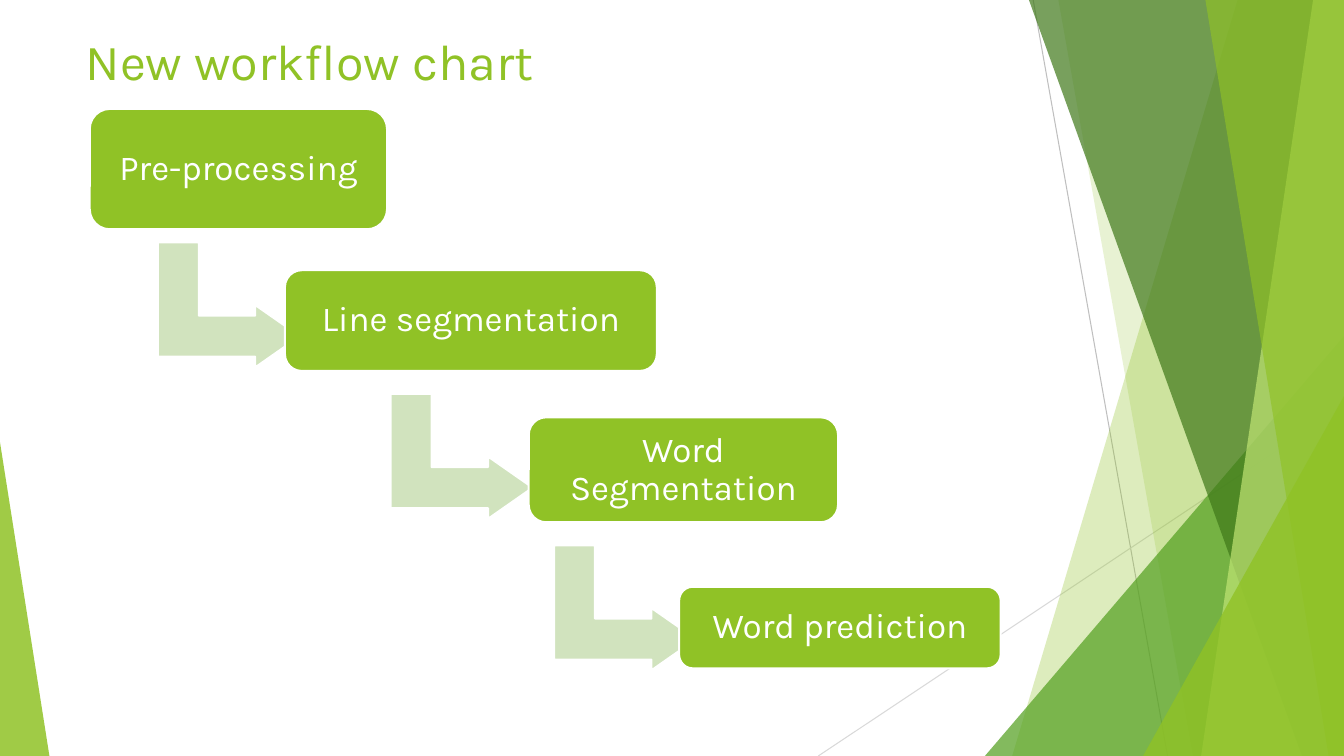
from pptx import Presentation, util as u
from pptx.dml.color import RGBColor
from pptx.enum import shapes, text
from pptx.oxml.ns import qn
from lxml import etree

Pt = u.Pt
MSO = shapes.MSO_SHAPE
GREEN, WHITE, PALE = "90C226", "FFFFFF", "D1E3BE"
WIDTH, HEIGHT = 960, 540


def rgb(hex_code):
    """Turn a hex string into a colour."""
    return RGBColor.from_string(hex_code)


def paint(sp, fill, opacity=100, outline=None):
    """Set the fill, its opacity and the outline of a shape."""
    sp.shadow.inherit = False
    sp.fill.solid()
    sp.fill.fore_color.rgb = rgb(fill)
    if opacity < 100:
        clr = sp.fill._xPr.find(qn("a:solidFill"))[0]
        etree.SubElement(clr, qn("a:alpha"), val=str(opacity * 1000))
    if outline:
        sp.line.color.rgb = rgb(outline)
        sp.line.width = Pt(1.5)
    else:
        sp.line.fill.background()


def add_preset(s, kind, box, adjustments):
    """Add a preset shape with its adjustments."""
    sp = s.shapes.add_shape(kind, *map(Pt, box))
    for i, value in enumerate(adjustments):
        sp.adjustments[i] = value
    return sp


def add_line(s, start, end, color):
    """Draw a thin decorative line."""
    cn = s.shapes.add_connector(shapes.MSO_CONNECTOR.STRAIGHT, *map(Pt, start + end))
    cn.line.color.rgb = rgb(color)
    cn.line.width = Pt(0.75)
    etree.SubElement(cn._element.spPr, qn("a:effectLst"))


def add_band(s, top_x, bottom_x, fill, opacity):
    """Draw a slanted band that reaches the right slide edge."""
    fb = s.shapes.build_freeform(top_x, 0, scale=Pt(1))
    fb.add_line_segments([(WIDTH, 0), (WIDTH, HEIGHT), (bottom_x, HEIGHT)], close=True)
    paint(fb.convert_to_shape(), fill, opacity)


def add_wedge(s, left, width, height, peak, fill, opacity):
    """Draw a right triangle standing on the bottom edge."""
    box = (left, HEIGHT - height, width, height)
    paint(add_preset(s, MSO.ISOSCELES_TRIANGLE, box, [peak]), fill, opacity)


def add_decor(s):
    """Draw the facets along the slide edges."""
    add_line(s, (738, 0), (834, HEIGHT), "BFBFBF")
    add_line(s, (WIDTH, 290), (584.5, HEIGHT), "D9D9D9")
    add_band(s, 884, 723, GREEN, 30)
    add_band(s, 756, 852, GREEN, 20)
    add_wedge(s, 703.5, 256.5, 300, 1, "54A021", 72)
    add_band(s, 735, 929.5, "3F7819", 70)
    add_band(s, 938, 858, "C0E474", 70)
    add_band(s, 861, 949, GREEN, 65)
    add_wedge(s, 816.5, 143.5, 257, 1, GREEN, 80)
    add_wedge(s, 0, 35.3, 224, 0, GREEN, 85)


def add_title(s, left, top, width, height):
    """Place and format the title."""
    title = s.shapes.title
    title.left, title.top, title.width, title.height = map(Pt, (left, top, width, height))
    tf = title.text_frame
    tf.text = "New workflow chart"
    tf.vertical_anchor = text.MSO_ANCHOR.TOP
    p = tf.paragraphs[0]
    p.alignment = text.PP_ALIGN.LEFT
    format_run(p.runs[0], 36, GREEN)


def format_run(r, size, color):
    """Set the font of a run."""
    r.font.name = "Karla"
    r.font.size = Pt(size)
    r.font.color.rgb = rgb(color)


def add_step(s, label, box):
    """Draw one labelled workflow step."""
    sp = add_preset(s, MSO.ROUNDED_RECTANGLE, box, [0.167])
    paint(sp, GREEN, outline=WHITE)
    tf = sp.text_frame
    tf.text = label
    tf.word_wrap = True
    tf.vertical_anchor = text.MSO_ANCHOR.MIDDLE
    tf.margin_left = tf.margin_right = tf.margin_top = tf.margin_bottom = Pt(7.2)
    p = tf.paragraphs[0]
    p.alignment = text.PP_ALIGN.CENTER
    p.line_spacing = 0.9
    format_run(p.runs[0], 25, WHITE)


def add_bend(s, left, top):
    """Draw the bent arrow that leads down to the next step."""
    sp = add_preset(s, MSO.BENT_UP_ARROW, (left, top, 89.3, 101.5), [0.328, 0.25, 0.358])
    sp.rotation = 90
    paint(sp, PALE, outline=WHITE)


def add_workflow(s, left, top):
    """Lay out the steps and the arrows between them as a staircase."""
    steps = [
        ("Pre-processing", (0, 0, 212.4, 86), 54.7),
        ("Line segmentation", (139.4, 115.2, 265.7, 72), 221),
        ("Word Segmentation", (313.6, 220.3, 221, 75), 337.7),
        ("Word prediction", (421, 341.3, 229.7, 58.3), None),
    ]
    for i, (label, (x, y, w, h), bend_x) in enumerate(steps):
        if bend_x is not None:
            add_bend(s, left + bend_x, top + 89.3 + i * 108.2)
        add_step(s, label, (left + x, top + y, w, h))


def main():
    """Build and save the slide."""
    prs = Presentation()
    prs.slide_width, prs.slide_height = Pt(WIDTH), Pt(HEIGHT)
    s = prs.slides.add_slide(prs.slide_layouts[5])
    add_decor(s)
    add_title(s, 54, 18, 677, 62)
    add_workflow(s, 64.1, 77.8)
    prs.save("out.pptx")


if __name__ == "__main__":
    main()
